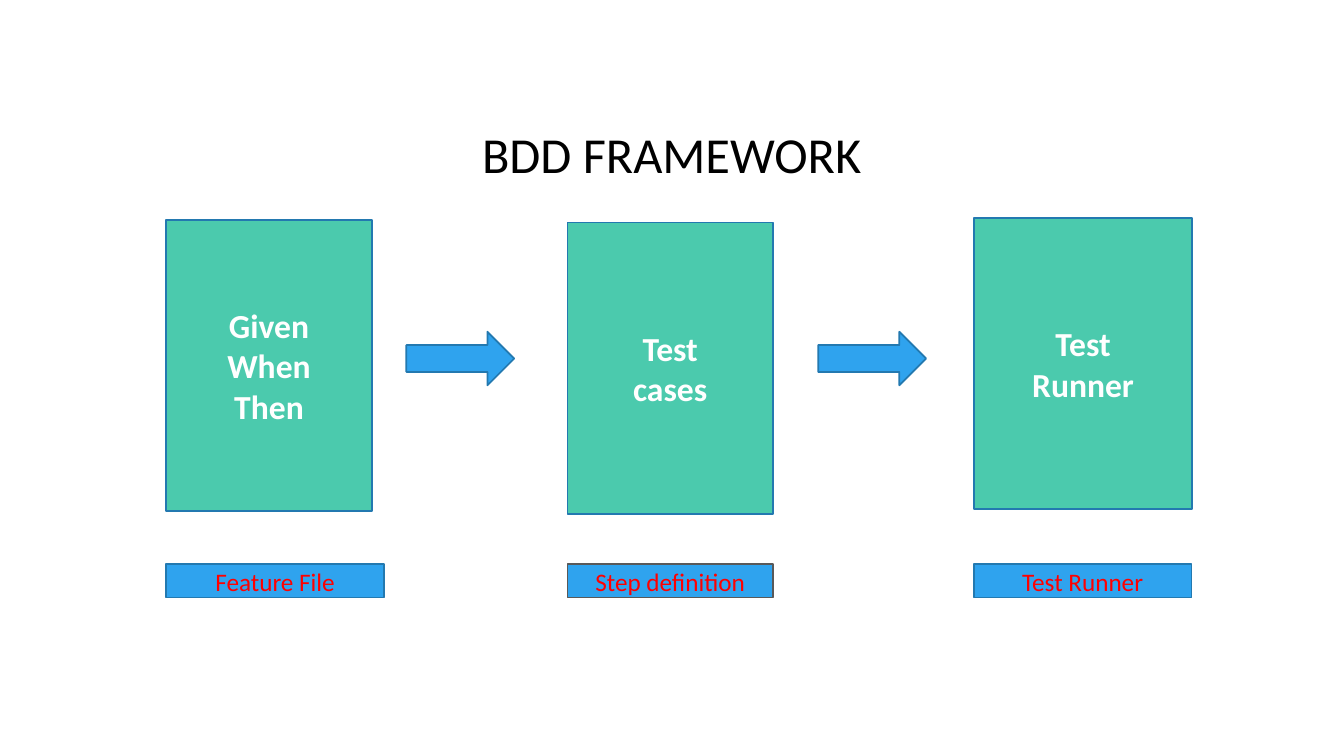
from pptx import Presentation
from pptx import util as u
from pptx.dml.color import RGBColor
from pptx.enum import shapes, text

FONT = "Calibri"
GREEN, BLUE, EDGE, GREY = "4BCAAD", "2FA3EE", "2379B0", "595959"
WHITE, RED, BLACK = "FFFFFF", "FF0000", "000000"


def colour(value):
    return RGBColor.from_string(value)


def place(item, box):
    item.left, item.top, item.width, item.height = (u.Cm(length) for length in box)


def write(item, lines, size, ink, bold=False, spacing=None):
    frame = item.text_frame
    frame.word_wrap = True
    frame.auto_size = text.MSO_AUTO_SIZE.NONE
    frame.vertical_anchor = text.MSO_ANCHOR.MIDDLE
    for index, line in enumerate(lines):
        para = frame.add_paragraph() if index else frame.paragraphs[0]
        para.alignment = text.PP_ALIGN.CENTER
        if spacing:
            para.line_spacing = spacing
        span = para.add_run()
        span.text = line
        span.font.name = FONT
        span.font.size = u.Pt(size)
        span.font.bold = bold
        span.font.color.rgb = colour(ink)


def add_block(page, kind, box, fill, edge=EDGE):
    block = page.shapes.add_shape(kind, *(u.Cm(length) for length in box))
    block.shadow.inherit = False
    block.fill.solid()
    block.fill.fore_color.rgb = colour(fill)
    block.line.color.rgb = colour(edge)
    block.line.width = u.Pt(1.25)
    return block


def add_title(page, box, wording):
    title = page.shapes.title
    place(title, box)
    write(title, [wording], 36, BLACK, spacing=0.9)


def add_stage(page, box, lines, label, label_width, label_edge):
    left, top, width, height = box
    card = add_block(page, shapes.MSO_SHAPE.RECTANGLE, box, GREEN)
    write(card, lines, 24, WHITE, bold=True)
    label_box = (left, LABEL_TOP, label_width, 0.84)
    tag = add_block(page, shapes.MSO_SHAPE.RECTANGLE, label_box, BLUE, label_edge)
    write(tag, [label], 18, RED)


def add_arrow(page, box):
    add_block(page, shapes.MSO_SHAPE.RIGHT_ARROW, box, BLUE)


LABEL_TOP = 14.22
STAGES = [
    ((4.19, 5.54, 5.18, 7.34), ["Given", "When", "Then"], "Feature File", 5.49, EDGE),
    ((14.3, 5.61, 5.18, 7.34), ["Test", "cases"], "Step definition", 5.18, GREY),
    ((24.54, 5.49, 5.51, 7.34), ["Test", "Runner"], "Test Runner", 5.49, EDGE),
]

deck = Presentation()
deck.slide_width, deck.slide_height = u.Cm(33.87), u.Cm(19.05)
page = deck.slides.add_slide(deck.slide_layouts.get_by_name("Title Only"))
page.background.fill.solid()
page.background.fill.fore_color.rgb = colour(WHITE)

add_title(page, (2.54, 1.73, 28.78, 4.45), "BDD FRAMEWORK")
for stage in STAGES:
    add_stage(page, *stage)
for arrow_left in (10.24, 20.62):
    add_arrow(page, (arrow_left, 8.36, 2.72, 1.35))

deck.save("out.pptx")
